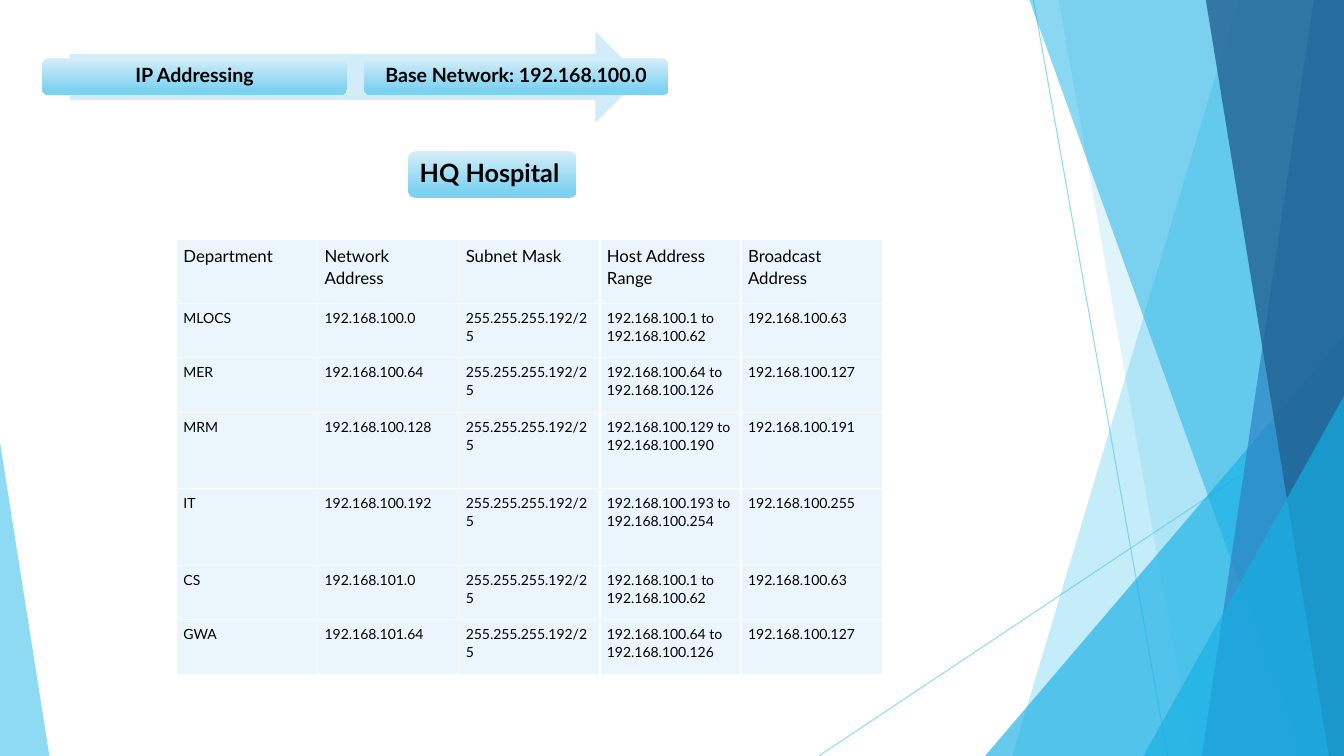
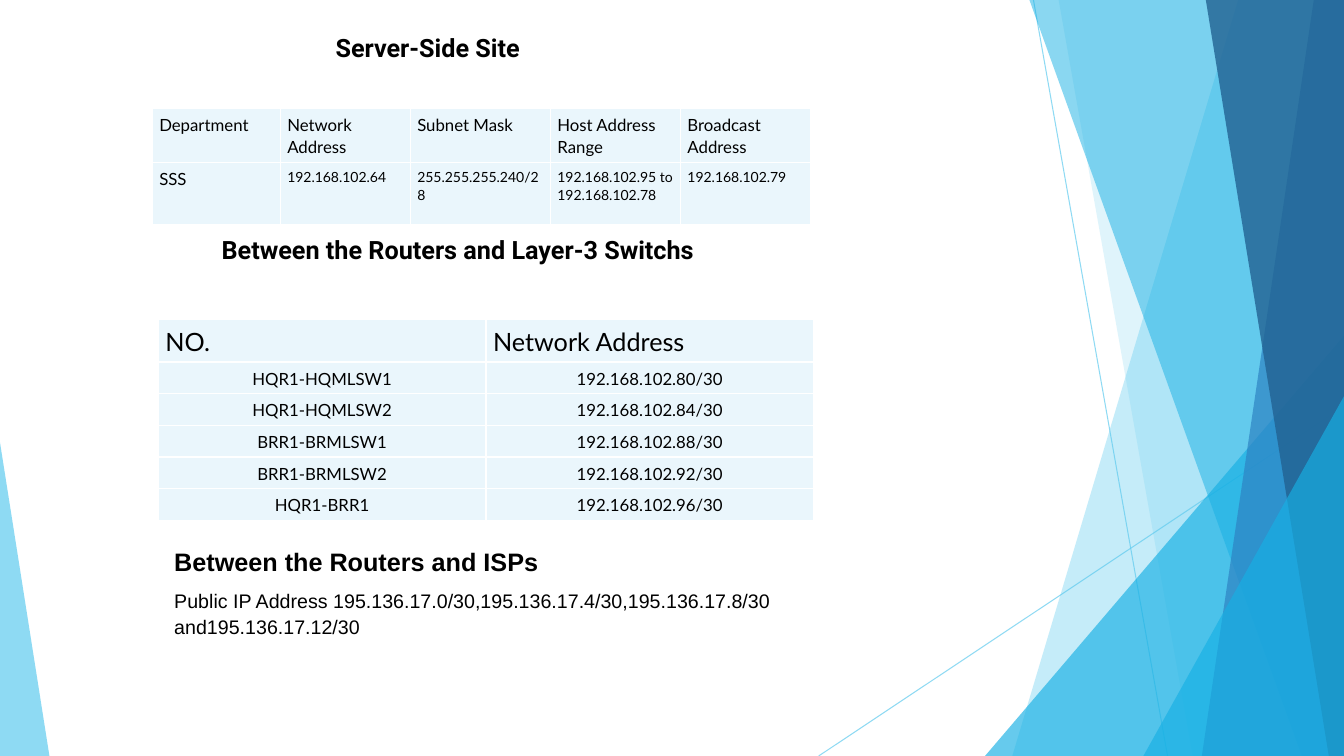
from dataclasses import dataclass
from typing import Any, NamedTuple

from lxml.etree import SubElement
from pptx import Presentation
from pptx.dml.color import RGBColor
from pptx.enum.shapes import MSO_CONNECTOR, MSO_SHAPE
from pptx.enum.text import MSO_ANCHOR, PP_ALIGN
from pptx.oxml.ns import qn
from pptx.shapes.autoshape import Shape
from pptx.shapes.base import BaseShape
from pptx.slide import Slide, SlideLayout
from pptx.table import _Cell
from pptx.text.text import TextFrame
from pptx.util import Inches, Pt


@dataclass(frozen=True)
class Theme:
    sky: str = "5FCBEF"
    cyan: str = "17B0E4"
    blue: str = "2E83C3"
    navy: str = "226292"
    arrow: str = "D2ECF9"
    label_top: str = "D4EEF9"
    label_bottom: str = "7DD1F1"
    cell: str = "EAF6FC"
    border: str = "FFFFFF"
    text: str = "000000"
    body_font: str = "Lato"
    title_font: str = "Roboto"
    note_font: str = "Arial"
    title: int = 18
    label: int = 14
    head: int = 12
    body: int = 10


THEME = Theme()
WIDTH, HEIGHT = 13.33, 7.5
CELL_SPACING = 1.07


class Box(NamedTuple):
    left: float
    top: float
    width: float
    height: float


class Ray(NamedTuple):
    start: tuple[float, float]
    end: tuple[float, float]


class Blade(NamedTuple):
    """A band that runs from the page's top edge to its bottom edge, up to the right side."""
    top_left: float
    bottom_left: float
    color: str
    opacity: int


class Wedge(NamedTuple):
    box: Box
    tip: int
    color: str
    opacity: int


class Label(NamedTuple):
    text: str
    box: Box
    size: int
    align: PP_ALIGN


class Line(NamedTuple):
    text: str
    font: dict[str, Any]
    para: dict[str, Any]


@dataclass(frozen=True)
class Grid:
    left: float
    top: float
    widths: list[float]
    heights: list[float]
    rows: list[tuple[str, ...]]
    head_size: int = THEME.head
    first_column_size: int = THEME.body
    body_size: int = THEME.body
    body_align: PP_ALIGN = PP_ALIGN.LEFT


RAYS = [Ray((10.25, 0), (11.58, HEIGHT)), Ray((WIDTH, 4.03), (8.12, HEIGHT))]
BACKDROP = [
    Blade(12.28, 10.04, THEME.sky, 36),
    Blade(10.5, 11.83, THEME.sky, 20),
    Wedge(Box(9.77, 3.33, 3.56, 4.17), 1, THEME.cyan, 66),
    Blade(10.21, 12.91, THEME.cyan, 50),
    Blade(13.03, 11.92, THEME.blue, 70),
    Blade(11.96, 13.18, THEME.navy, 80),
    Wedge(Box(11.34, 3.93, 1.99, 3.57), 1, THEME.cyan, 66),
    Wedge(Box(0, 4.39, 0.49, 3.11), 0, THEME.sky, 70),
]

LABELS = [
    Label("IP Addressing", Box(0.42, 0.58, 3.02, 0.36), THEME.label, PP_ALIGN.CENTER),
    Label("Base Network: 192.168.100.0", Box(3.61, 0.58, 3.02, 0.36), THEME.label,
          PP_ALIGN.CENTER),
    Label("HQ Hospital", Box(4.05, 1.5, 1.67, 0.46), THEME.title, PP_ALIGN.LEFT),
]

HEADINGS = ("Department", "Network Address", "Subnet Mask", "Host Address Range",
            "Broadcast Address")
HQ_MASK = "255.255.255.192/25"
HQ_GRID = Grid(1.75, 2.38, [1.4] * 5, [0.63, 0.54, 0.54, 0.76, 0.76, 0.54, 0.54], [
    HEADINGS,
    ("MLOCS", "192.168.100.0", HQ_MASK, "192.168.100.1 to\n192.168.100.62", "192.168.100.63"),
    ("MER", "192.168.100.64", HQ_MASK, "192.168.100.64 to\n192.168.100.126", "192.168.100.127"),
    ("MRM", "192.168.100.128", HQ_MASK, "192.168.100.129 to\n192.168.100.190",
     "192.168.100.191"),
    ("IT", "192.168.100.192", HQ_MASK, "192.168.100.193 to\n192.168.100.254",
     "192.168.100.255"),
    ("CS", "192.168.101.0", HQ_MASK, "192.168.100.1 to\n192.168.100.62", "192.168.100.63"),
    ("GWA", "192.168.101.64", HQ_MASK, "192.168.100.64 to\n192.168.100.126", "192.168.100.127"),
])
SERVER_GRID = Grid(1.51, 1.08, [1.27, 1.29, 1.39, 1.29, 1.29], [0.53, 0.62], [
    HEADINGS,
    ("SSS", "192.168.102.64", "255.255.255.240/28", "192.168.102.95 to\n192.168.102.78",
     "192.168.102.79"),
], first_column_size=THEME.head)
LINK_GRID = Grid(1.57, 3.17, [3.25] * 2, [0.41] + [0.31] * 5, [
    ("NO.", "Network Address"),
    ("HQR1-HQMLSW1", "192.168.102.80/30"),
    ("HQR1-HQMLSW2", "192.168.102.84/30"),
    ("BRR1-BRMLSW1", "192.168.102.88/30"),
    ("BRR1-BRMLSW2", "192.168.102.92/30"),
    ("HQR1-BRR1", "192.168.102.96/30"),
], THEME.title, THEME.head, THEME.head, PP_ALIGN.CENTER)

TITLE_FONT = {"name": THEME.title_font, "size": Pt(THEME.title), "bold": True}
NOTE_TITLE_FONT = TITLE_FONT | {"name": THEME.note_font}
NOTE_FONT = NOTE_TITLE_FONT | {"size": Pt(THEME.label), "bold": False}
NOTE_PARA = {"line_spacing": CELL_SPACING, "space_after": Pt(8)}


def inches(values: tuple[float, ...]) -> list[Inches]:
    return [Inches(value) for value in values]


def apply(target: Any, values: dict[str, Any]) -> None:
    for name, value in values.items():
        setattr(target, name, value)


def set_opacity(shape: BaseShape, percent: int) -> None:
    for color in shape.element.iter(qn("a:srgbClr")):
        SubElement(color, qn("a:alpha"), val=str(percent * 1000))


def paint(shape: Shape, color: str, opacity: int = 100) -> None:
    shape.shadow.inherit = False
    shape.line.fill.background()
    shape.fill.solid()
    shape.fill.fore_color.rgb = RGBColor.from_string(color)
    if opacity < 100:
        set_opacity(shape, opacity)


def write(frame: TextFrame, lines: list[Line]) -> None:
    frame.word_wrap = True
    for index, line in enumerate(lines):
        para = frame.add_paragraph() if index else frame.paragraphs[0]
        apply(para, line.para)
        span = para.add_run()
        span.text = line.text
        apply(span.font, line.font)
        span.font.color.rgb = RGBColor.from_string(THEME.text)


def draw_ray(page: Slide, ray: Ray) -> None:
    line = page.shapes.add_connector(MSO_CONNECTOR.STRAIGHT, *inches(ray.start + ray.end))
    line.line.width = Pt(0.75)
    line.line.color.rgb = RGBColor.from_string(THEME.sky)
    SubElement(line.element.spPr, qn("a:effectLst"))
    set_opacity(line, 70)


def draw_blade(page: Slide, blade: Blade) -> None:
    outline = page.shapes.build_freeform(*inches((blade.top_left, 0)))
    corners = [(WIDTH, 0), (WIDTH, HEIGHT), (blade.bottom_left, HEIGHT)]
    outline.add_line_segments([inches(corner) for corner in corners], close=True)
    paint(outline.convert_to_shape(), blade.color, blade.opacity)


def draw_wedge(page: Slide, wedge: Wedge) -> None:
    shape = page.shapes.add_shape(MSO_SHAPE.ISOSCELES_TRIANGLE, *inches(wedge.box))
    shape.adjustments[0] = wedge.tip
    paint(shape, wedge.color, wedge.opacity)


def move_backdrop_to_layout(page: Slide, layout: SlideLayout) -> None:
    """Draw the backdrop on an empty page, then hand it to the layout all pages share."""
    for ray in RAYS:
        draw_ray(page, ray)
    for part in BACKDROP:
        if isinstance(part, Blade):
            draw_blade(page, part)
        else:
            draw_wedge(page, part)
    for shape in list(page.shapes):
        layout.shapes.element.append(shape.element)


def draw_label(page: Slide, label: Label) -> None:
    shape = page.shapes.add_shape(MSO_SHAPE.ROUNDED_RECTANGLE, *inches(label.box))
    shape.shadow.inherit = False
    shape.line.fill.background()
    shape.fill.gradient()
    shape.fill.gradient_angle = 270
    stops = [(0, THEME.label_top), (0.88, THEME.label_bottom)]
    for stop, (position, color) in zip(shape.fill.gradient_stops, stops):
        stop.position = position
        stop.color.rgb = RGBColor.from_string(color)
    frame = shape.text_frame
    apply(frame, {"margin_left": Inches(0.09), "margin_right": Inches(0.09),
                  "margin_top": Inches(0.07), "margin_bottom": Inches(0.07),
                  "vertical_anchor": MSO_ANCHOR.MIDDLE})
    font = {"name": THEME.body_font, "size": Pt(label.size), "bold": True}
    write(frame, [Line(label.text, font, {"alignment": label.align, "line_spacing": 0.9})])


def format_cell(cell: _Cell) -> None:
    properties = cell._tc.get_or_add_tcPr()
    for side in ("lnL", "lnR", "lnT", "lnB"):
        border = SubElement(properties, qn(f"a:{side}"), w=str(Pt(1)))
        fill = SubElement(border, qn("a:solidFill"))
        SubElement(fill, qn("a:srgbClr"), val=THEME.border)
    cell.fill.solid()
    cell.fill.fore_color.rgb = RGBColor.from_string(THEME.cell)
    apply(cell, {"margin_left": Inches(0.07), "margin_right": Inches(0.07),
                 "margin_top": Inches(0.05), "margin_bottom": Inches(0.05)})


def draw_grid(page: Slide, grid: Grid) -> None:
    box = Box(grid.left, grid.top, sum(grid.widths), sum(grid.heights))
    table = page.shapes.add_table(len(grid.rows), len(grid.widths), *inches(box)).table
    apply(table, {"first_row": False, "horz_banding": False})
    for column, width in zip(table.columns, grid.widths):
        column.width = Inches(width)
    for row, height in zip(table.rows, grid.heights):
        row.height = Inches(height)
    for row_index, texts in enumerate(grid.rows):
        for column_index, text in enumerate(texts):
            cell = table.cell(row_index, column_index)
            format_cell(cell)
            body_size = grid.body_size if column_index else grid.first_column_size
            size = body_size if row_index else grid.head_size
            align = grid.body_align if row_index else PP_ALIGN.LEFT
            font = {"name": THEME.body_font, "size": Pt(size), "bold": False}
            para = {"alignment": align, "line_spacing": CELL_SPACING}
            write(cell.text_frame, [Line(part, font, para) for part in text.split("\n")])


def add_text(page: Slide, box: Box, lines: list[Line]) -> TextFrame:
    frame = page.shapes.add_textbox(*inches(box)).text_frame
    write(frame, lines)
    return frame


def build_hq_page(page: Slide) -> None:
    arrow = page.shapes.add_shape(MSO_SHAPE.RIGHT_ARROW, *inches(Box(0.69, 0.31, 5.67, 0.91)))
    paint(arrow, THEME.arrow)
    draw_grid(page, HQ_GRID)
    for label in LABELS:
        draw_label(page, label)


def build_links_page(page: Slide) -> None:
    draw_grid(page, SERVER_GRID)
    draw_grid(page, LINK_GRID)
    title = add_text(page, Box(2.73, 0.27, 5.04, 0.4), [Line("Server-Side Site", TITLE_FONT, {})])
    title.vertical_anchor = MSO_ANCHOR.MIDDLE
    title.paragraphs[0]._p.get_or_add_pPr().set("indent", str(Inches(0.5)))
    add_text(page, Box(2.1, 2.28, 5.24, 1.01),
             [Line("Between the Routers and Layer-3 Switchs", TITLE_FONT, {})])
    addresses = ("Public IP Address 195.136.17.0/30,195.136.17.4/30,195.136.17.8/30 "
                 "and195.136.17.12/30")
    add_text(page, Box(1.63, 5.35, 6.67, 1.04),
             [Line("Between the Routers and ISPs", NOTE_TITLE_FONT, NOTE_PARA),
              Line(addresses, NOTE_FONT, NOTE_PARA)])


def main() -> None:
    deck = Presentation()
    deck.slide_width, deck.slide_height = inches((WIDTH, HEIGHT))
    blank = deck.slide_layouts[6]
    hq_page, links_page = (deck.slides.add_slide(blank) for _ in range(2))
    move_backdrop_to_layout(hq_page, blank)
    build_hq_page(hq_page)
    build_links_page(links_page)
    deck.save("out.pptx")


if __name__ == "__main__":
    main()
